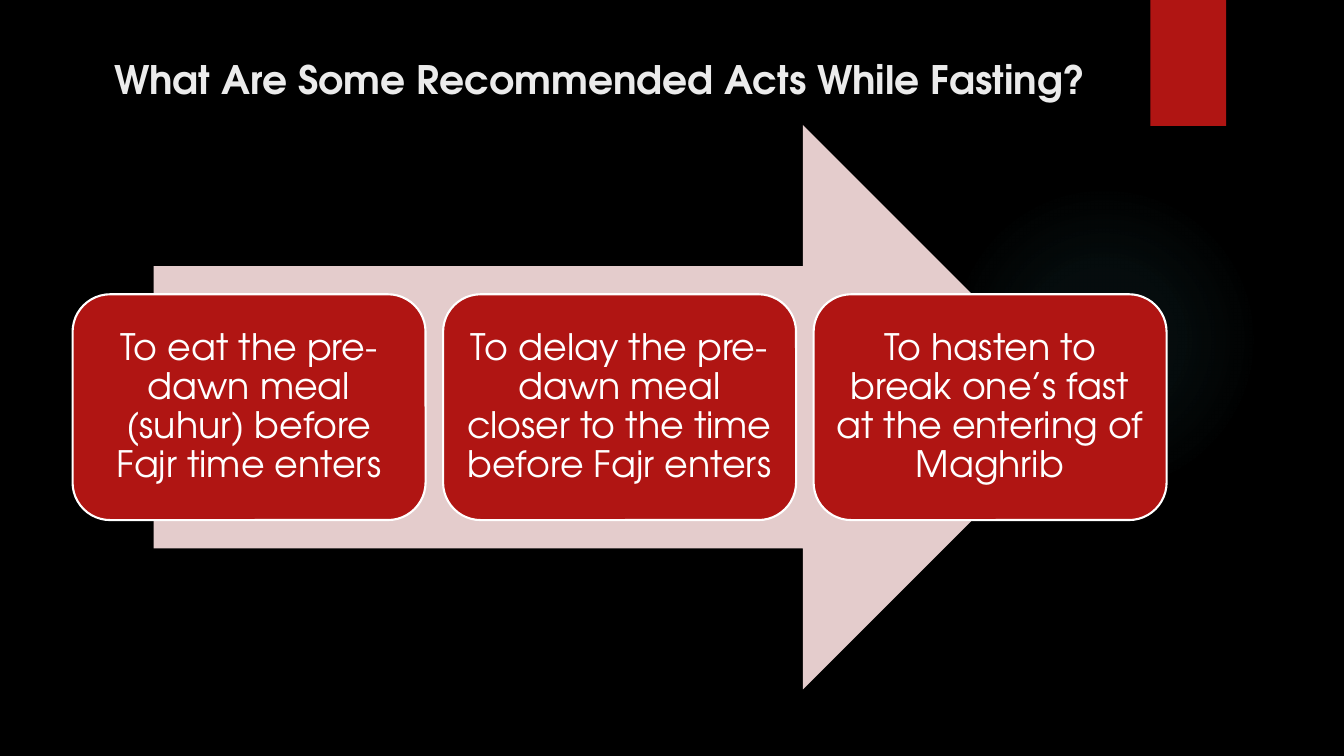
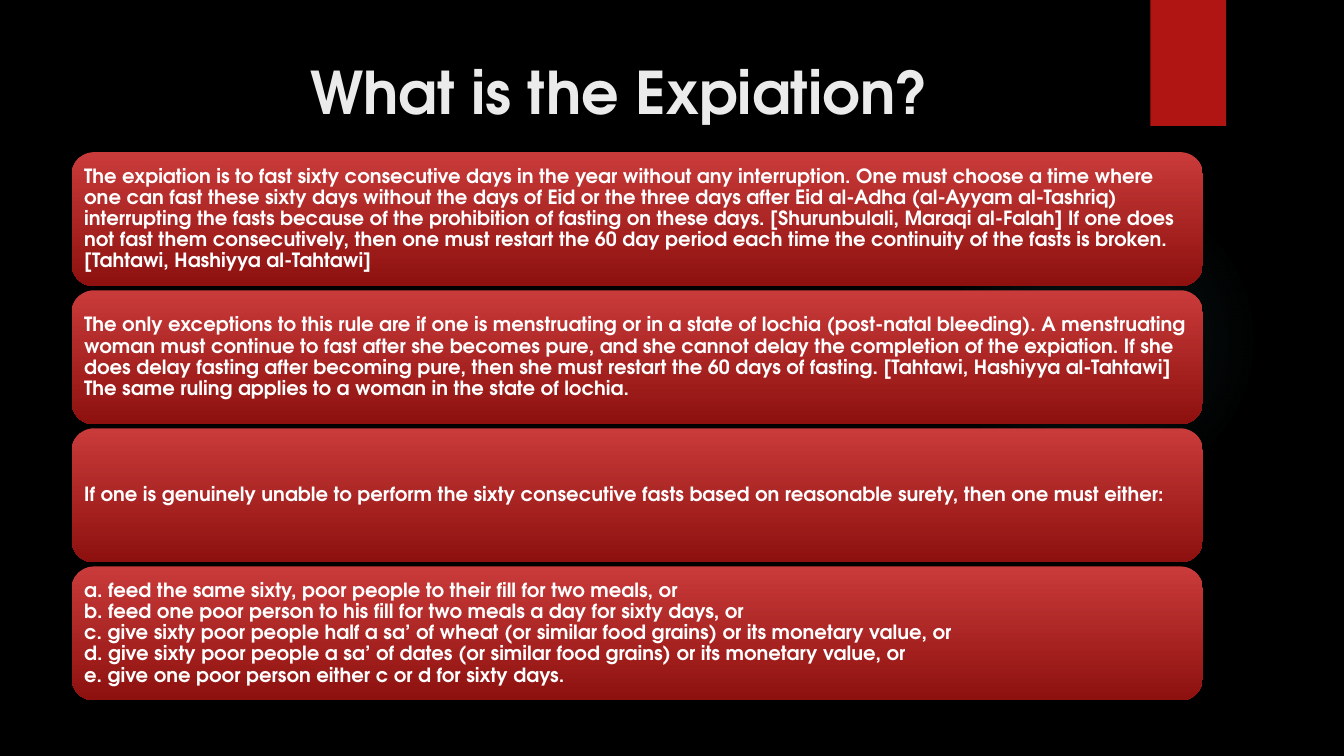
from lxml import etree
from pptx import Presentation
from pptx.dml.color import RGBColor
from pptx.enum.shapes import MSO_SHAPE
from pptx.enum.text import MSO_ANCHOR, PP_ALIGN
from pptx.oxml import parse_xml
from pptx.util import Inches, Pt

RECT, ROUND = MSO_SHAPE.RECTANGLE, MSO_SHAPE.ROUNDED_RECTANGLE
OVAL, ARROW = MSO_SHAPE.OVAL, MSO_SHAPE.RIGHT_ARROW
TOP, MIDDLE = MSO_ANCHOR.TOP, MSO_ANCHOR.MIDDLE
LEFT, CENTER = PP_ALIGN.LEFT, PP_ALIGN.CENTER

BLACK = RGBColor(0x00, 0x00, 0x00)
WHITE = RGBColor(0xFF, 0xFF, 0xFF)
PALE = RGBColor(0xEB, 0xEB, 0xEB)
RED = RGBColor(0xB0, 0x15, 0x13)
LIGHT = RGBColor(0xC9, 0x3B, 0x3A)
DARK = RGBColor(0x8D, 0x11, 0x0F)
PINK = RGBColor(0xE4, 0xCC, 0xCC)
TEAL = RGBColor(0x50, 0xB9, 0xC1)
FONT = "TeX Gyre Adventor"
WIDE, HIGH = Inches(13.33), Inches(7.5)
NS = "http://schemas.openxmlformats.org/drawingml/2006/main"

STEPS = [
    "To eat the pre-dawn meal (suhur) before Fajr time enters",
    "To delay the pre-dawn meal closer to the time before Fajr enters",
    "To hasten to break one’s fast at the entering of Maghrib",
]
RULES = [
    "The expiation is to fast sixty consecutive days in the year without any "
    "interruption. One must choose a time where one can fast these sixty days "
    "without the days of Eid or the three days after Eid al-Adha (al-Ayyam "
    "al-Tashriq) interrupting the fasts because of the prohibition of fasting "
    "on these days. [Shurunbulali, Maraqi al-Falah] If one does not fast them "
    "consecutively, then one must restart the 60 day period each time the "
    "continuity of the fasts is broken. [Tahtawi, Hashiyya al-Tahtawi]",
    "The only exceptions to this rule are if one is menstruating or in a state "
    "of lochia (post-natal bleeding). A menstruating woman must continue to "
    "fast after she becomes pure, and she cannot delay the completion of the "
    "expiation. If she does delay fasting after becoming pure, then she must "
    "restart the 60 days of fasting. [Tahtawi, Hashiyya al-Tahtawi] The same "
    "ruling applies to a woman in the state of lochia.",
    "If one is genuinely unable to perform the sixty consecutive fasts based "
    "on reasonable surety, then one must either:",
    "a. feed the same sixty, poor people to their fill for two meals, or\n"
    "b. feed one poor person to his fill for two meals a day for sixty days, or\n"
    "c. give sixty poor people half a sa’ of wheat (or similar food grains) or "
    "its monetary value, or\n"
    "d. give sixty poor people a sa’ of dates (or similar food grains) or its "
    "monetary value, or\n"
    "e. give one poor person either c or d for sixty days.",
]


# Geometry: boxes are (left, top, width, height)
def share(box, x, y, w, h):
    """Part of a box, given in percent of its sides."""
    left, top, wide, high = box
    return (int(left + wide * x / 100), int(top + high * y / 100),
            int(wide * w / 100), int(high * h / 100))


def split(box, count, gap, across):
    """Equal cells in a row or a column; gap is a percentage of the box."""
    size = (100 - gap * (count - 1)) / count
    for i in range(count):
        start = i * (size + gap)
        yield share(box, start, 0, size, 100) if across else share(box, 0, start, 100, size)


PAGE = (0, 0, WIDE, HIGH)


# Shapes and text
def draw(slide, kind, box, fill=None):
    shape = slide.shapes.add_shape(kind, *box)
    shape.shadow.inherit = False
    shape.line.fill.background()
    if fill is not None:
        shape.fill.solid()
        shape.fill.fore_color.rgb = fill
    return shape


def write(shape, text, size, bold, color, align, anchor):
    frame = shape.text_frame
    frame.text = text
    frame.word_wrap = True
    frame.vertical_anchor = anchor
    for para in frame.paragraphs:
        para.alignment = align
        for run in para.runs:
            font = run.font
            font.name, font.size, font.bold = FONT, Pt(size), bold
            font.color.rgb = color
    return frame


def label(shape, text, size, bold, align, inset):
    frame = write(shape, text, size, bold, WHITE, align, MIDDLE)
    frame.margin_left = frame.margin_right = Inches(inset)
    frame.margin_top = frame.margin_bottom = Inches(inset)
    for para in frame.paragraphs:
        para.line_spacing = 0.9


def glow(shape):
    """Radial fill that fades out from the centre."""
    grad = parse_xml(f'<a:gradFill xmlns:a="{NS}" rotWithShape="1"><a:gsLst/></a:gradFill>')
    for pos, alpha in ((0, 7), (36, 6), (69, 0), (100, 0)):
        stop = etree.SubElement(grad[0], f"{{{NS}}}gs", pos=str(pos * 1000))
        color = etree.SubElement(stop, f"{{{NS}}}srgbClr", val=str(TEAL))
        etree.SubElement(color, f"{{{NS}}}alpha", val=str(alpha * 1000))
    ring = etree.SubElement(grad, f"{{{NS}}}path")
    ring.set("path", "circle")
    etree.SubElement(ring, f"{{{NS}}}fillToRect", l="50000", t="50000", r="50000", b="50000")
    shape.fill.background()
    old = shape.element.spPr.find(f"{{{NS}}}noFill")
    shape.element.spPr.replace(old, grad)


# Shared look, kept in the layout
def theme(deck, layout):
    layout.background.fill.solid()
    layout.background.fill.fore_color.rgb = BLACK
    slide = deck.slides.add_slide(layout)
    halo = draw(slide, OVAL, share(PAGE, 70.59, 24.4, 23.1, 41.07))
    glow(halo)
    band = draw(slide, RECT, share(PAGE, 85.6, 0, 5.63, 16.67), RED)
    tree = layout.shapes.element
    for spot, shape in enumerate((halo, band), 2):
        tree.insert(spot, shape.element)
    return slide


def head(slide, text, size, box, indent):
    title = slide.shapes.title
    title.left, title.top, title.width, title.height = box
    frame = write(title, text, size, True, PALE, LEFT, TOP)
    frame.margin_left = int(box[2] * indent / 100)
    frame.margin_right = 0


# Arrow with a row of cards over it
def flow(slide, box, steps):
    draw(slide, ARROW, share(box, 7.4, 0, 85.16, 100), PINK)
    row = share(box, 0, 30, 100, 40)
    for cell, text in zip(split(row, len(steps), 1.6, True), steps):
        card = draw(slide, ROUND, cell, RED)
        card.line.color.rgb = WHITE
        card.line.width = Pt(1.5)
        label(card, text, 26, False, CENTER, 0.11)


# Column of shaded panels
def stack(slide, box, rules):
    for cell, text in zip(split(box, len(rules), 0.74, False), rules):
        panel = draw(slide, ROUND, cell)
        panel.fill.gradient()
        panel.fill.gradient_angle = 270
        for stop, color, pos in zip(panel.fill.gradient_stops, (LIGHT, DARK), (0, 1)):
            stop.color.rgb = color
            stop.position = pos
        label(panel, text, 14, True, LEFT, 0.06)


def main():
    deck = Presentation()
    deck.slide_width, deck.slide_height = WIDE, HIGH
    layout = deck.slide_layouts[5]

    acts = theme(deck, layout)
    head(acts, "What Are Some Recommended Acts While Fasting?", 28,
         share(PAGE, 5.33, 6.67, 77.2, 8.4), 4.1)
    flow(acts, share(PAGE, 5.4, 16.53, 81.4, 74.67), STEPS)

    amends = deck.slides.add_slide(layout)
    head(amends, "What is the Expiation?", 42,
         share(PAGE, 5.33, 6.67, 77.2, 9.73), 23)
    stack(amends, share(PAGE, 5.33, 20.13, 84.17, 72.53), RULES)

    deck.save("out.pptx")


if __name__ == "__main__":
    main()
